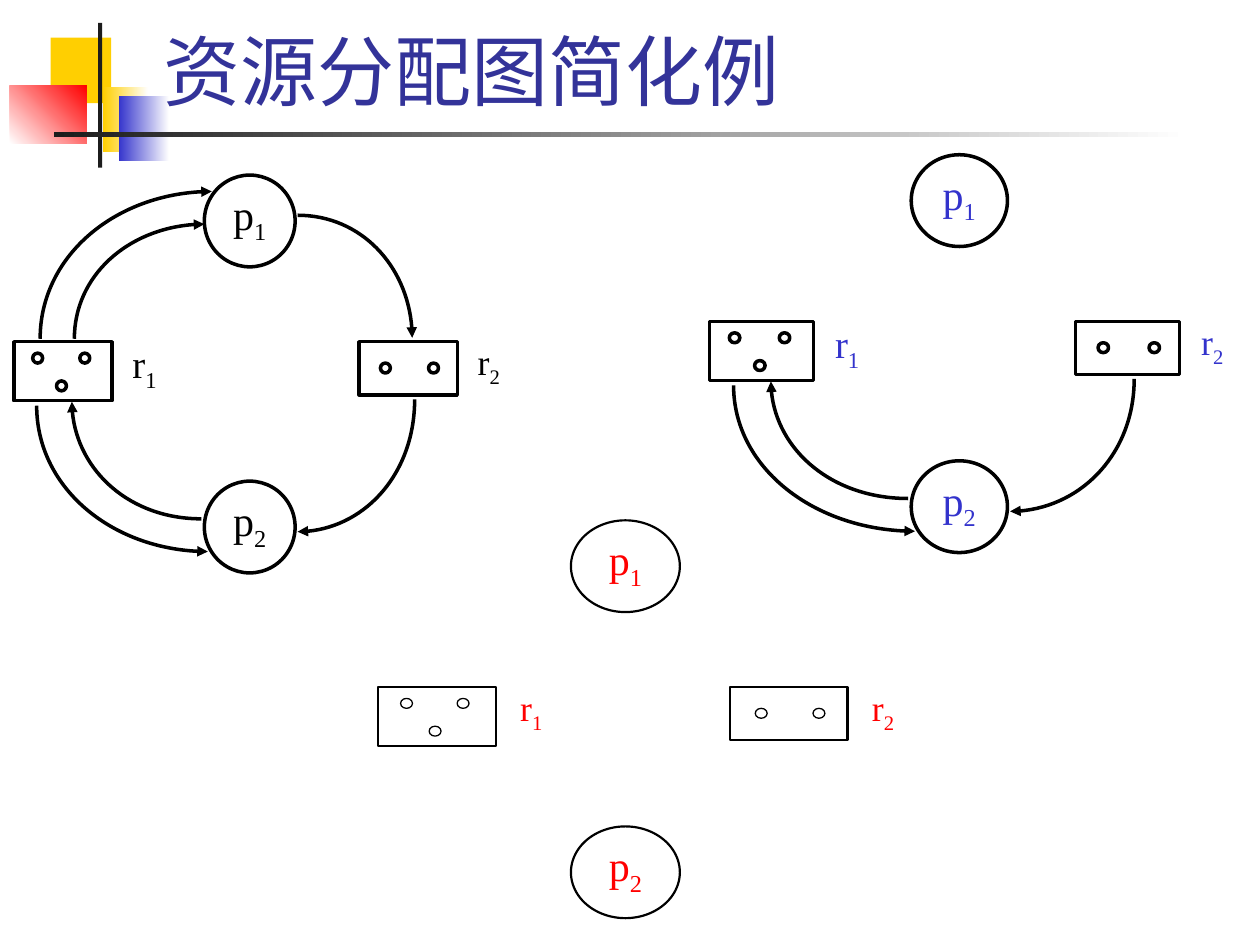
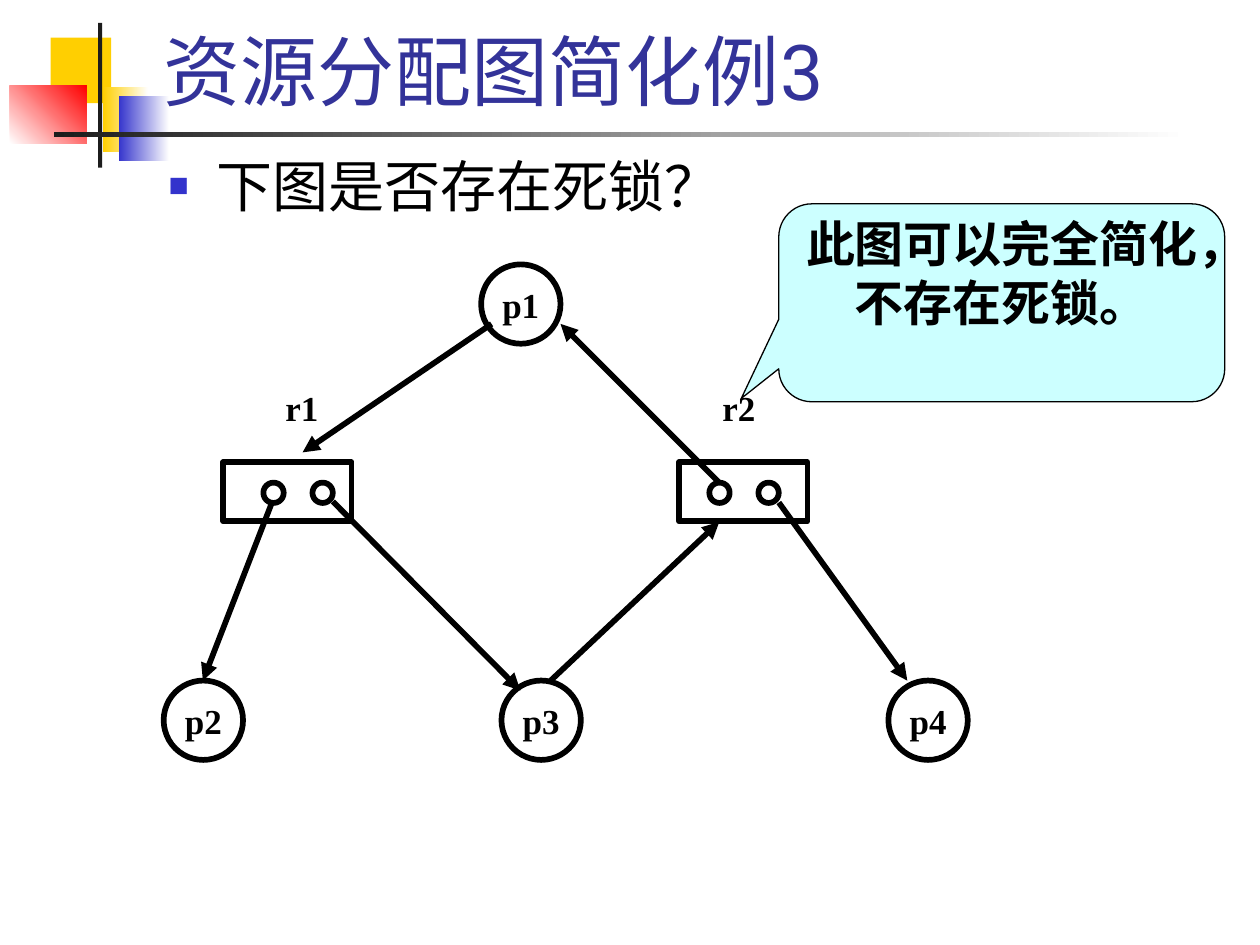
from lxml import etree
from pptx import Presentation
from pptx.dml.color import RGBColor
from pptx.enum.shapes import MSO_CONNECTOR, MSO_SHAPE
from pptx.enum.text import MSO_ANCHOR, MSO_AUTO_SIZE, PP_ALIGN
from pptx.oxml.ns import qn
from pptx.util import Cm, Pt

RECT, OVAL = MSO_SHAPE.RECTANGLE, MSO_SHAPE.OVAL
CALLOUT = MSO_SHAPE.ROUNDED_RECTANGULAR_CALLOUT
STRAIGHT = MSO_CONNECTOR.STRAIGHT
TOP, MIDDLE, BOTTOM = MSO_ANCHOR.TOP, MSO_ANCHOR.MIDDLE, MSO_ANCHOR.BOTTOM
LEFT, CENTER = PP_ALIGN.LEFT, PP_ALIGN.CENTER
NO_AUTOFIT = MSO_AUTO_SIZE.NONE

COLORS = {
    "white": "FFFFFF", "black": "000000", "ink": "1C1C1C", "title": "333399",
    "yellow": "FFCF01", "blue": "3333CC", "red": "FF0000", "callout": "CCFFFF",
}
RGB = {key: RGBColor.from_string(value) for key, value in COLORS.items()}
SANS, SERIF = "Roboto", "Times New Roman"
CURVE = 0.55  # handle length of a quarter ellipse


def draw(slide, kind, box, fill=None, line_width=None):
    """Add a preset shape, box in cm, with an optional fill and black outline."""
    shape = slide.shapes.add_shape(kind, *map(Cm, box))
    shape.shadow.inherit = False
    if fill:
        shape.fill.solid()
        shape.fill.fore_color.rgb = RGB[fill]
    else:
        shape.fill.background()
    if line_width:
        shape.line.color.rgb = RGB["black"]
        shape.line.width = Pt(line_width)
    else:
        shape.line.fill.background()
    return shape


def write(frame, text, size, font, color, align=LEFT, anchor=TOP, bold=False,
          margins=(0, 0), wrap=True, subscript=""):
    """Write one paragraph, optionally ending in a subscript."""
    frame.auto_size = NO_AUTOFIT
    frame.word_wrap = wrap
    frame.vertical_anchor = anchor
    frame.margin_left = frame.margin_right = Cm(margins[0])
    frame.margin_top = frame.margin_bottom = Cm(margins[1])
    paragraph = frame.paragraphs[0]
    paragraph.alignment = align
    paragraph.space_before = Pt(0)
    for part, baseline in ((text, 0), (subscript, -25000)):
        if not part:
            continue
        run = paragraph.add_run()
        run.text = part
        run.font.size = Pt(size)
        run.font.name = font
        run.font.bold = bold
        run.font.color.rgb = RGB[color]
        properties = run._r.get_or_add_rPr()
        etree.SubElement(properties, qn("a:ea")).set("typeface", font)
        if baseline:
            properties.set("baseline", str(baseline))
    return paragraph


prs = Presentation()
prs.slide_width, prs.slide_height = Cm(25.4), Cm(19.05)
example = prs.slides.add_slide(prs.slide_layouts[5])
example3 = prs.slides.add_slide(prs.slide_layouts[1])
PADDING = (0.25, 0.13)

# Master decoration: box, start colour, end colour, angle
decoration = [
    ((1.02, 0.76, 1.22, 1.32), "yellow", None, 0),
    ((2.08, 1.75, 0.91, 1.32), "yellow", "white", 0),
    ((2.39, 1.93, 1.02, 1.32), "blue", "white", 0),
    ((0.2, 1.73, 1.55, 1.17), "white", "red", 45),
    ((1.98, 0.46, 0.08, 2.92), "ink", None, 0),
    ((1.09, 2.67, 22.86, 0.1), "ink", "white", 0),
]
master_tree = prs.slide_master.shapes._spTree
for position, (box, start, end, angle) in enumerate(decoration, 2):
    block = draw(example, RECT, box, start)
    if end:
        block.fill.gradient()
        block.fill.gradient_angle = angle
        for stop, color in zip(block.fill.gradient_stops, (start, end)):
            stop.color.rgb = RGB[color]
    master_tree.insert(position, block._element)

# Titles
for slide, heading in ((example, "资源分配图简化例"), (example3, "资源分配图简化例3")):
    title = slide.shapes.title
    title.left, title.top, title.width, title.height = map(Cm, (3.05, 0.43, 21.64, 2.03))
    write(title.text_frame, heading, 44, SANS, "title", anchor=BOTTOM, margins=PADDING)

arrows = []  # every curve and line that ends in an arrowhead

# Slide 1: three stages of the reduction
# Edges: process end, resource end, whether the arrow points at the process
p2_edges = [
    ((5.72, 7.19), (8.08, 4.52), True),
    ((3.78, 6.93), (1.17, 4.57), False),
    ((3.91, 7.59), (0.46, 4.65), True),
]
p1_edges = [
    ((3.84, 0.99), (1.22, 3.3), True),
    ((3.99, 0.33), (0.53, 3.3), True),
    ((5.72, 0.81), (8.03, 3.28), False),
]
# Left, top, process offset, r2 offset, width scale, colour, outline, dot outline,
# r1 label size, edges
stages = [
    (0.28, 3.53, 3.84, 6.96, 1, "black", 2, 2, 22.2, p1_edges + p2_edges),
    (14.3, 3.12, 4.07, 7.38, 1.06, "blue", 2, 2, 22.2, p2_edges),
    (7.62, 10.49, 3.89, 7.09, 1.2, "red", 1.25, 0.75, 20.4, []),
]
for (left, top, process_x, r2_x, scale, color, outline, dot_outline,
     r1_size, edges) in stages:
    for number, drop in (("1", 0), ("2", 6.17)):
        process = draw(example, OVAL, (left + process_x, top + drop, 1.83 * scale, 1.85),
                       "white", outline)
        write(process.text_frame, "p", 24, SERIF, color, CENTER, subscript=number)

    resources = [
        ("1", 0, 1.19, r1_size, [(0.38, 0.23), (1.33, 0.23), (0.86, 0.79)]),
        ("2", r2_x, 1.07, 20.4, [(0.43, 0.43), (1.4, 0.43)]),
    ]
    for number, offset, height, size, dots in resources:
        x, y = left + offset, top + 3.36
        draw(example, RECT, (x, y, 1.98 * scale, height), "white", outline)
        for dot_x, dot_y in dots:
            draw(example, OVAL, (x + dot_x * scale, y + dot_y, 0.2 * scale, 0.2),
                 "white", dot_outline)
        label = example.shapes.add_textbox(
            Cm(x + 2.39 * scale), Cm(y - 0.02), Cm(0.69 * scale), Cm(1.06))
        write(label.text_frame, "r", size, SERIF, color, subscript=number).line_spacing = 0.9

    for (px, py), (rx, ry), to_process in edges:
        px, rx = left + px * scale, left + rx * scale
        py, ry = top + py, top + ry
        points = [(px, py), (px + CURVE * (rx - px), py),
                  (rx, ry + CURVE * (py - ry)), (rx, ry)]
        if to_process:
            points.reverse()
        points = [(Cm(x), Cm(y)) for x, y in points]
        builder = example.shapes.build_freeform(*points[0])
        builder.add_line_segments(points[1:], close=False)
        edge = builder.convert_to_shape()
        edge.fill.background()
        # Turn the three segments into one cubic curve
        segments = list(edge._element.iter(qn("a:lnTo")))
        outline_xml = segments[0].getparent()
        curve = etree.SubElement(outline_xml, qn("a:cubicBezTo"))
        for segment in segments:
            curve.append(segment[0])
            outline_xml.remove(segment)
        arrows.append((edge, 2))

# Slide 2: question
question = example3.placeholders[1]
question.left, question.top, question.width, question.height = map(
    Cm, (3.15, 2.92, 21.59, 2.16))
bullet = question.text_frame.paragraphs[0]._p.get_or_add_pPr()
bullet.set("marL", str(Cm(0.97)))
bullet.set("indent", str(-Cm(0.97)))
bullet_color = etree.SubElement(bullet, qn("a:buClr"))
etree.SubElement(bullet_color, qn("a:srgbClr")).set("val", COLORS["blue"])
etree.SubElement(bullet, qn("a:buSzPct")).set("val", "60000")
etree.SubElement(bullet, qn("a:buChar")).set("char", "■")
write(question.text_frame, "下图是否存在死锁？", 32, SANS, "black", margins=PADDING)

# Slide 2: resources with their units and labels
for name, x, units, label_x in (("r1", 4.5, (0.81, 1.8), 5.49),
                                ("r2", 13.69, (0.61, 1.6), 14.3)):
    draw(example3, RECT, (x, 9.32, 2.59, 1.19), line_width=3.25)
    for unit_x in units:
        draw(example3, OVAL, (x + unit_x, 9.73, 0.41, 0.41), line_width=3.25)
    label = example3.shapes.add_textbox(Cm(label_x), Cm(7.72), Cm(1.19), Cm(0.99))
    write(label.text_frame, name, 20, SERIF, "black", CENTER, MIDDLE, True, PADDING, False)

# Slide 2: processes
for name, x, y in (("p1", 9.7, 5.33), ("p2", 3.3, 13.72),
                   ("p3", 10.11, 13.72), ("p4", 17.91, 13.72)):
    process = draw(example3, OVAL, (x, y, 1.6, 1.6), line_width=3.25)
    write(process.text_frame, name, 20, SERIF, "black", CENTER, MIDDLE, True, PADDING, False)

# Slide 2: allocations and requests
for ends in ((5.49, 10.11, 4.09, 13.72), (15.7, 10.13, 18.29, 13.72),
             (14.5, 9.73, 11.3, 6.53), (6.71, 10.11, 10.49, 13.92),
             (9.91, 6.53, 6.1, 9.12), (11.1, 13.72, 14.5, 10.52)):
    arrows.append((example3.shapes.add_connector(STRAIGHT, *map(Cm, ends)), 3.25))

# Slide 2: answer
answer = draw(example3, CALLOUT, (15.7, 4.11, 8.99, 3.99), "callout", 0.75)
for index, value in enumerate((-0.584, 0.483, 0.167)):
    answer.adjustments[index] = value
write(answer.text_frame, "此图可以完全简化，不存在死锁。", 28, SANS, "black", CENTER, bold=True)

# Arrow style
for arrow, width in arrows:
    arrow.line.color.rgb = RGB["black"]
    arrow.line.width = Pt(width)
    etree.SubElement(arrow.line._get_or_add_ln(), qn("a:tailEnd")).set("type", "triangle")
    etree.SubElement(arrow._element.spPr, qn("a:effectLst"))

prs.save("out.pptx")
